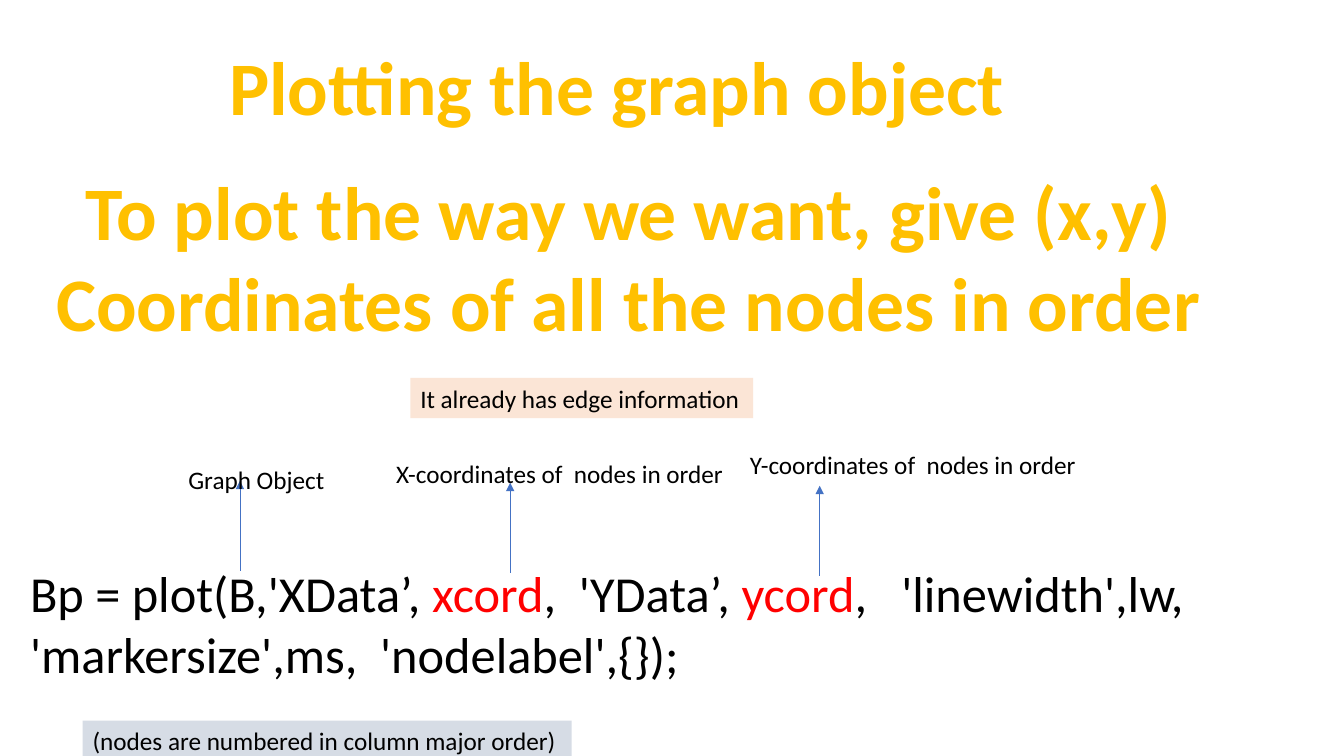
from dataclasses import dataclass

from lxml import etree
from pptx import Presentation
from pptx.dml.color import RGBColor
from pptx.enum.shapes import MSO_CONNECTOR as Connector
from pptx.enum.text import MSO_ANCHOR as Anchor, MSO_AUTO_SIZE as AutoSize, PP_ALIGN as Align
from pptx.oxml.ns import qn
from pptx.util import Inches, Pt


@dataclass(frozen=True)
class Theme:
    font: str = "Calibri"
    heading: RGBColor = RGBColor(0xFF, 0xC0, 0x00)
    text: RGBColor = RGBColor(0x00, 0x00, 0x00)
    argument: RGBColor = RGBColor(0xFF, 0x00, 0x00)
    arrow: RGBColor = RGBColor(0x44, 0x72, 0xC4)
    edge_note: RGBColor = RGBColor(0xFB, 0xE5, 0xD6)
    order_note: RGBColor = RGBColor(0xD6, 0xDC, 0xE5)
    heading_size: Pt = Pt(54)
    code_size: Pt = Pt(36)
    label_size: Pt = Pt(18)
    arrow_width: Pt = Pt(0.5)


THEME = Theme()
HEADING = {"name": THEME.font, "size": THEME.heading_size, "bold": True}
CODE = {"name": THEME.font, "size": THEME.code_size, "bold": False}
LABEL = {"name": THEME.font, "size": THEME.label_size, "bold": False}

LABEL_HEIGHT = 0.4
ARROW_LENGTH = 0.89

CODE_PARTS = [
    ("Bp = plot(B,'XData’, ", THEME.text),
    ("xcord", THEME.argument),
    (",  'YData’, ", THEME.text),
    ("ycord", THEME.argument),
    (",   'linewidth',lw,  'markersize',ms,  'nodelabel',{});", THEME.text),
]

# text, left, top, width, arrow x, arrow tip y
ARGUMENTS = [
    ("Graph Object", 1.77, 4.56, 2.07, 2.38, 4.77),
    ("X-coordinates of  nodes in order", 3.83, 4.5, 3.51, 5.06, 4.79),
    ("Y-coordinates of  nodes in order", 7.34, 4.41, 3.66, 8.13, 4.82),
]


def place(shape, box):
    for name, length in zip(("left", "top", "width", "height"), box):
        setattr(shape, name, Inches(length))


def write(shape, lines, font_format, align=Align.LEFT, wrap=True):
    """Fill a shape with lines, each a list of (text, colour) parts."""
    frame = shape.text_frame
    frame_format = {
        "word_wrap": wrap,
        "auto_size": AutoSize.SHAPE_TO_FIT_TEXT,
        "vertical_anchor": Anchor.TOP,
    }
    for name, value in frame_format.items():
        setattr(frame, name, value)
    for index, parts in enumerate(lines):
        paragraph = frame.add_paragraph() if index else frame.paragraphs[0]
        paragraph.alignment = align
        paragraph.line_spacing = 1.0
        paragraph.space_before = Pt(0)
        for text, color in parts:
            run = paragraph.add_run()
            run.text = text
            for name, value in font_format.items():
                setattr(run.font, name, value)
            run.font.color.rgb = color


def add_text(slide, box, lines, font_format, **options):
    shape = slide.shapes.add_textbox(*map(Inches, box))
    write(shape, lines, font_format, **options)
    return shape


def add_headings(slide, title_box, subtitle_box):
    title = slide.shapes.title
    place(title, title_box)
    write(title, [[("Plotting the graph object", THEME.heading)]], HEADING,
          align=Align.CENTER, wrap=False)
    subtitle = ("To plot the way we want, give (x,y)",
                "Coordinates of all the nodes in order")
    add_text(slide, subtitle_box, [[(line, THEME.heading)] for line in subtitle],
             HEADING, align=Align.CENTER, wrap=False)


def add_arrow(slide, x, tip):
    """Draw an upward arrow from the code to its label."""
    arrow = slide.shapes.add_connector(
        Connector.STRAIGHT, *map(Inches, (x, tip + ARROW_LENGTH, x, tip)))
    arrow.line.color.rgb = THEME.arrow
    arrow.line.width = THEME.arrow_width
    etree.SubElement(arrow.line._get_or_add_ln(), qn("a:tailEnd"), type="triangle")
    etree.SubElement(arrow._element.spPr, qn("a:effectLst"))


def add_argument(slide, text, left, top, width, arrow_x, arrow_tip):
    add_arrow(slide, arrow_x, arrow_tip)
    add_text(slide, (left, top, width, LABEL_HEIGHT), [[(text, THEME.text)]], LABEL)


def add_note(slide, left, top, width, text, color):
    note = add_text(slide, (left, top, width, LABEL_HEIGHT),
                    [[(text, THEME.text)]], LABEL, wrap=False)
    note.fill.solid()
    note.fill.fore_color.rgb = color


def build_plot_slide(presentation):
    slide = presentation.slides.add_slide(presentation.slide_layouts[5])
    add_headings(slide, (2.12, 0.35, 8, 1.01), (0.4, 1.59, 11.67, 1.92))
    add_text(slide, (0.2, 5.53, 12.93, 1.62), [CODE_PARTS], CODE)
    for argument in ARGUMENTS:
        add_argument(slide, *argument)
    add_note(slide, 4.07, 3.75, 3.4, "It already has edge information", THEME.edge_note)
    add_note(slide, 0.82, 7.15, 4.85, "(nodes are numbered in column major order)",
             THEME.order_note)


def main():
    presentation = Presentation()
    presentation.slide_width = Inches(13.33)
    presentation.slide_height = Inches(7.5)
    build_plot_slide(presentation)
    presentation.save("out.pptx")


if __name__ == "__main__":
    main()
